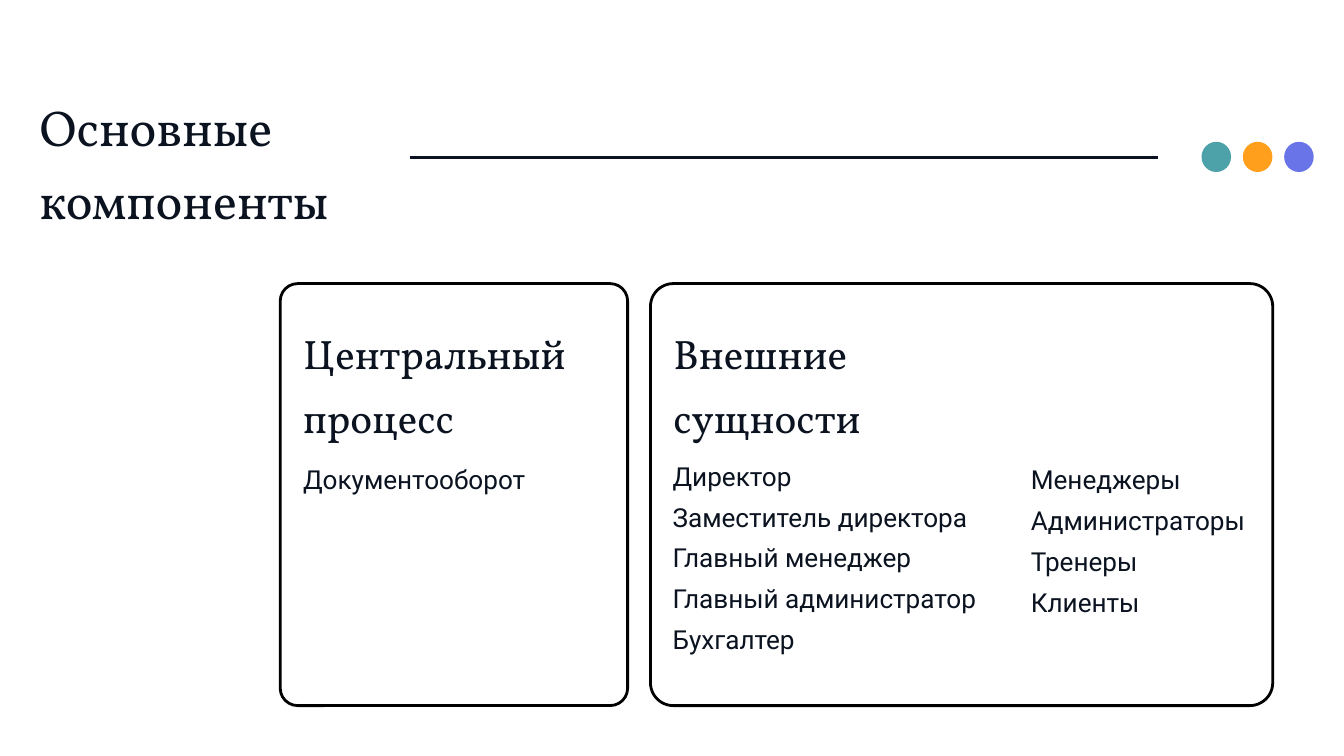
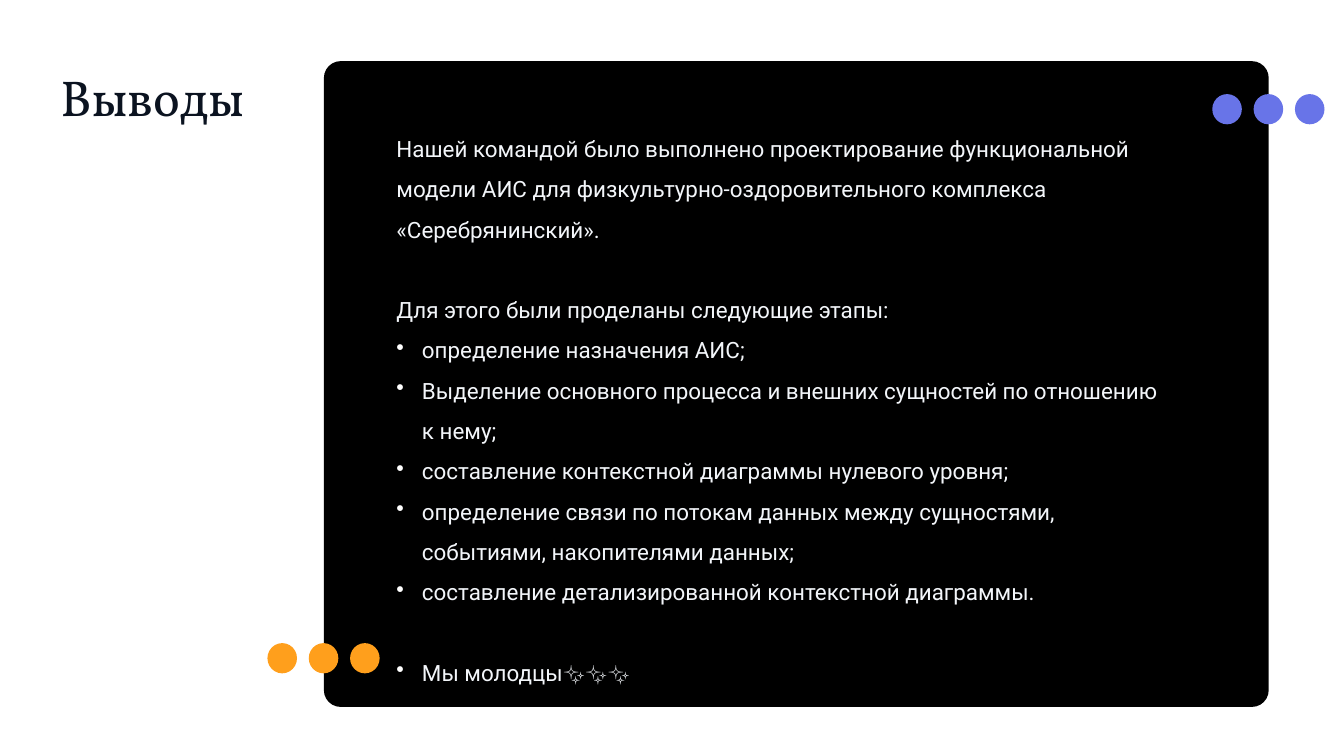
"""Builds two slides: the main components of a system and the conclusions."""
from lxml import etree
from pptx import Presentation
from pptx.dml.color import RGBColor
from pptx.enum.shapes import MSO_CONNECTOR, MSO_SHAPE
from pptx.enum.text import MSO_ANCHOR, MSO_AUTO_SIZE, PP_ALIGN
from pptx.oxml.ns import qn
from pptx.util import Inches, Pt

ROUNDED, OVAL = MSO_SHAPE.ROUNDED_RECTANGLE, MSO_SHAPE.OVAL
STRAIGHT = MSO_CONNECTOR.STRAIGHT
TOP, LEFT, FIXED = MSO_ANCHOR.TOP, PP_ALIGN.LEFT, MSO_AUTO_SIZE.NONE

INK = RGBColor(0x0B, 0x13, 0x20)
BLACK = RGBColor(0x00, 0x00, 0x00)
WHITE = RGBColor(0xFF, 0xFF, 0xFF)
PALE = RGBColor(0xF3, 0xF6, 0xFA)
TEAL = RGBColor(0x4D, 0xA1, 0xA9)
ORANGE = RGBColor(0xFF, 0x9F, 0x1C)
VIOLET = RGBColor(0x68, 0x74, 0xE8)

SERIF, SANS = "Vollkorn", "Roboto"
TITLE_ONLY = 5
DOT_WIDTH, DOT_HEIGHT, DOT_STEP = 0.44, 0.45, 0.615
BULLET_INDENT = 0.38


def write_text(para, text, *, font=SANS, size=28, color=INK, spacing=1.3,
               before=0, bullet=False):
    para.alignment = LEFT
    para.line_spacing = spacing
    para.space_before = Pt(before)
    span = para.add_run()
    span.text = text
    span.font.name = font
    span.font.size = Pt(size)
    span.font.color.rgb = color
    if bullet:
        properties = para._p.get_or_add_pPr()
        properties.set("marL", str(Inches(BULLET_INDENT)))
        properties.set("indent", str(-Inches(BULLET_INDENT)))
        bullet_color = etree.SubElement(properties, qn("a:buClr"))
        etree.SubElement(bullet_color, qn("a:srgbClr"), val=str(WHITE))
        etree.SubElement(properties, qn("a:buChar"), char="•")


class SlideBuilder:
    def __init__(self, deck):
        self.deck = deck
        self.page = None

    def start_page(self, title, left, top, width, height):
        self.page = self.deck.slides.add_slide(self.deck.slide_layouts[TITLE_ONLY])
        fill = self.page.background.fill
        fill.solid()
        fill.fore_color.rgb = WHITE
        box = self.page.shapes.title
        box.left, box.top = Inches(left), Inches(top)
        box.width, box.height = Inches(width), Inches(height)
        frame = self.prepare_frame(box)
        write_text(frame.paragraphs[0], title, font=SERIF, size=54, spacing=1.2)

    def prepare_frame(self, box):
        frame = box.text_frame
        frame.word_wrap = True
        frame.auto_size = FIXED
        frame.vertical_anchor = TOP
        frame.margin_left = frame.margin_right = 0
        frame.margin_top = frame.margin_bottom = 0
        return frame

    def shape(self, kind, left, top, width, height, fill=None, line=None):
        shape = self.page.shapes.add_shape(
            kind, Inches(left), Inches(top), Inches(width), Inches(height))
        shape.shadow.inherit = False
        if fill is None:
            shape.fill.background()
        else:
            shape.fill.solid()
            shape.fill.fore_color.rgb = fill
        if line is None:
            shape.line.fill.background()
        else:
            shape.line.color.rgb = line
            shape.line.width = Pt(3)
        return shape

    def card(self, left, top, width, height, radius, **colors):
        card = self.shape(ROUNDED, left, top, width, height, **colors)
        card.adjustments[0] = radius / min(width, height)

    def dots(self, left, top, colors):
        for index, color in enumerate(colors):
            self.shape(OVAL, left + index * DOT_STEP, top,
                       DOT_WIDTH, DOT_HEIGHT, fill=color)

    def rule(self, left, right, top):
        rule = self.page.shapes.add_connector(
            STRAIGHT, Inches(left), Inches(top), Inches(right), Inches(top))
        rule.line.color.rgb = INK
        rule.line.width = Pt(3)
        etree.SubElement(rule._element.spPr, qn("a:effectLst"))

    def text(self, left, top, width, height, items, **style):
        box = self.page.shapes.add_textbox(
            Inches(left), Inches(top), Inches(width), Inches(height))
        frame = self.prepare_frame(box)
        for index, (text, extra) in enumerate(items):
            para = frame.add_paragraph() if index else frame.paragraphs[0]
            write_text(para, text, **style, **extra)

    def lines(self, left, top, width, height, texts, **style):
        self.text(left, top, width, height, [(text, {}) for text in texts], **style)


def build_components(builder):
    builder.start_page("Основные компоненты", 0.59, 1.25, 7.44, 2.18)
    builder.rule(6.1, 17.23, 2.34)
    builder.dots(17.88, 2.11, [TEAL, ORANGE, VIOLET])
    for left, width, radius, heading in [
        (4.17, 5.17, 0.26, "Центральный процесс"),
        (9.68, 9.26, 0.34, "Внешние сущности"),
    ]:
        builder.card(left, 4.22, width, 6.28, radius, line=BLACK)
        builder.lines(left + 0.34, 4.67, 4.75, 1.93, [heading], font=SERIF, size=44)
    builder.lines(4.51, 6.75, 4.83, 0.61, ["Документооборот"])
    builder.lines(10.01, 6.71, 4.9, 3.06, [
        "Директор", "Заместитель директора", "Главный менеджер",
        "Главный администратор", "Бухгалтер"])
    builder.lines(15.34, 6.76, 3.39, 2.4, [
        "Менеджеры", "Администраторы", "Тренеры", "Клиенты"])


def build_conclusions(builder):
    builder.start_page("Выводы", 0.9, 0.8, 3.8, 1.09)
    builder.card(4.82, 0.91, 14.06, 9.61, 0.25, fill=BLACK)
    stages = [
        "определение назначения АИС;",
        "Выделение основного процесса и внешних сущностей по отношению к нему;",
        "составление контекстной диаграммы нулевого уровня;",
        "определение связи по потокам данных между сущностями, событиями, "
        "накопителями данных;",
        "составление детализированной контекстной диаграммы.",
    ]
    gap = 43
    items = [
        ("Нашей командой было выполнено проектирование функциональной модели АИС "
         "для физкультурно-оздоровительного комплекса «Серебрянинский».", {}),
        ("Для этого были проделаны следующие этапы:", {"before": gap}),
        *[(stage, {"bullet": True}) for stage in stages],
        ("Мы молодцы✨✨✨", {"bullet": True, "before": gap}),
    ]
    builder.text(5.9, 1.81, 11.34, 8.6, items, size=24, color=PALE, spacing=1.5)
    builder.dots(18.04, 1.4, [VIOLET] * 3)
    builder.dots(3.98, 9.57, [ORANGE] * 3)


def main():
    deck = Presentation()
    deck.slide_width, deck.slide_height = Inches(20), Inches(11.25)
    builder = SlideBuilder(deck)
    build_components(builder)
    build_conclusions(builder)
    deck.save("out.pptx")


if __name__ == "__main__":
    main()
